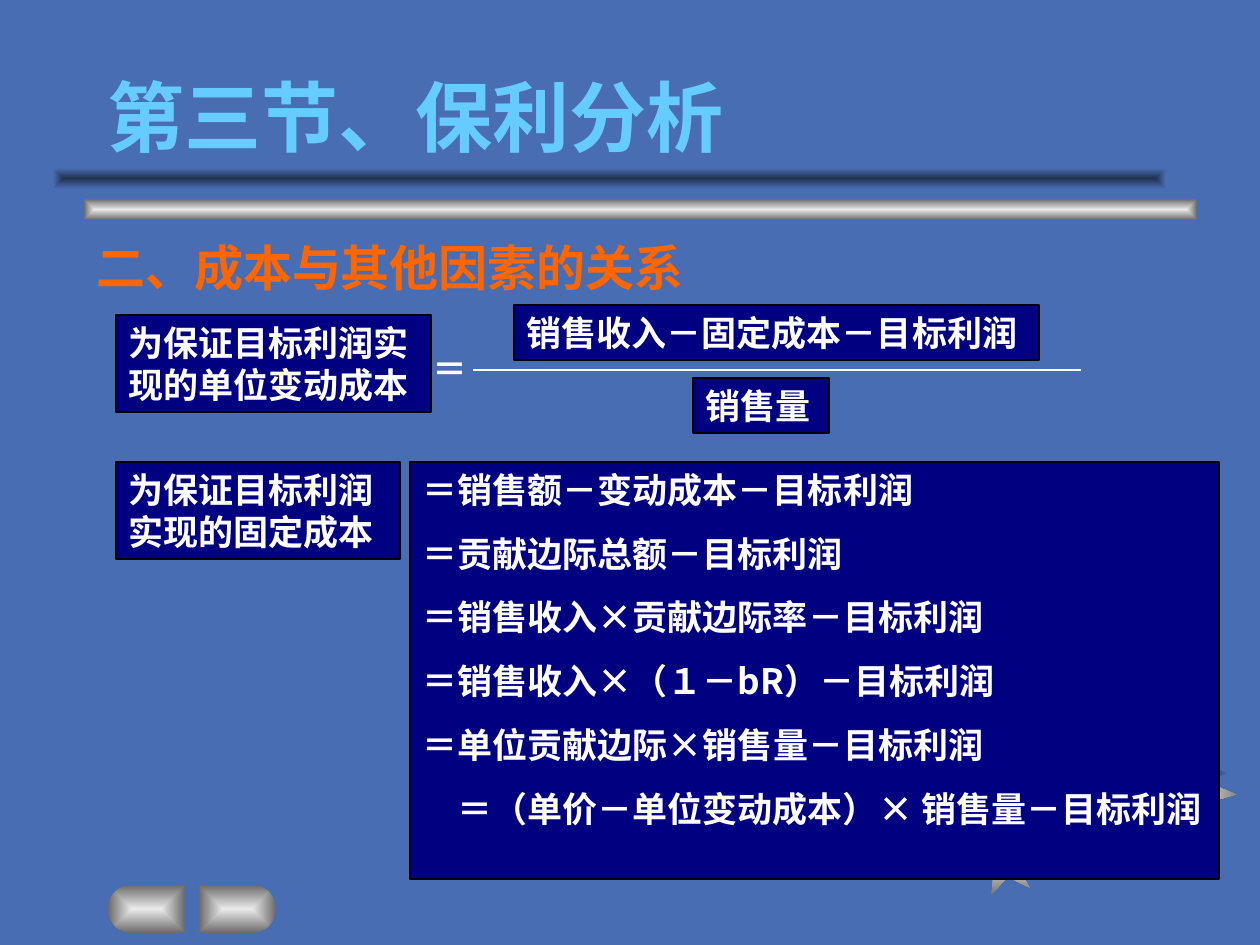
import math
from dataclasses import dataclass

from lxml import etree
from pptx import Presentation, util as u
from pptx.dml import color
from pptx.enum import shapes, text
from pptx.oxml import ns

EMU_PER_PX = 914400 / 126
FONT = "Noto Sans CJK SC"
COLORS = {
    "background": "496DB2",
    "shade": "213252",
    "silver": "EAEAEA",
    "steel": "6B6B6B",
    "title": "66CCFF",
    "heading": "FF6600",
    "navy": "000080",
    "black": "000000",
    "white": "FFFFFF",
}
SHADOW = ("shade", "background")
METAL = ("silver", "steel")


@dataclass(frozen=True)
class Box:
    left: int
    top: int
    width: int
    height: int

    def emu(self) -> tuple:
        return tuple(px(v) for v in (self.left, self.top, self.width, self.height))


@dataclass(frozen=True)
class Ornament:
    kind: shapes.MSO_SHAPE
    box: Box
    gradient: tuple
    rotation: int = 0


@dataclass(frozen=True)
class Label:
    lines: tuple
    box: Box
    size: int = 20
    color: str = "white"
    filled: bool = True
    anchor: text.MSO_ANCHOR = text.MSO_ANCHOR.TOP
    last_indent: int = 0


STAR, BAR = shapes.MSO_SHAPE.STAR_5_POINT, shapes.MSO_SHAPE.RECTANGLE
ORNAMENTS = (
    Ornament(STAR, Box(955, 815, 63, 63), SHADOW, 349),
    Ornament(STAR, Box(1142, 725, 84, 84), SHADOW, 22),
    Ornament(STAR, Box(973, 829, 63, 63), METAL, 349),
    Ornament(STAR, Box(1152, 746, 84, 84), METAL, 22),
    Ornament(BAR, Box(84, 199, 1113, 21), METAL),
    Ornament(BAR, Box(53, 168, 1113, 21), SHADOW),
)
FORMULAS = (
    "＝销售额－变动成本－目标利润",
    "＝贡献边际总额－目标利润",
    "＝销售收入×贡献边际率－目标利润",
    "＝销售收入×（１－bR）－目标利润",
    "＝单位贡献边际×销售量－目标利润",
    "＝（单价－单位变动成本）× 销售量－目标利润",
)
LABELS = (
    Label(("第三节、保利分析",), Box(95, 73, 809, 95), 44, "title", False, text.MSO_ANCHOR.BOTTOM),
    Label(("二、成本与其他因素的关系",), Box(84, 231, 756, 72), 28, "heading", False),
    Label(("为保证目标利润实现的单位变动成本",), Box(116, 315, 315, 97)),
    Label(("＝",), Box(420, 341, 63, 55), filled=False),
    Label(("销售收入－固定成本－目标利润",), Box(514, 305, 525, 55)),
    Label(("销售量",), Box(693, 378, 136, 55)),
    Label(FORMULAS, Box(410, 462, 809, 417), last_indent=35),
    Label(("为保证目标利润实现的固定成本",), Box(116, 462, 284, 97)),
)


def px(value: float) -> u.Emu:
    return u.Emu(round(value * EMU_PER_PX))


def rgb(name: str) -> color.RGBColor:
    return color.RGBColor.from_string(COLORS[name])


def apply_gradient(shape, gradient: tuple) -> None:
    """Fill from the centre outwards in a rectangular gradient."""
    shape.shadow.inherit = False
    shape.line.fill.background()
    shape.fill.gradient()
    for stop, name in zip(shape.fill.gradient_stops, gradient):
        stop.color.rgb = rgb(name)
    linear = shape.element.spPr.find(".//" + ns.qn("a:lin"))
    radial = etree.Element(ns.qn("a:path"), {"path": "rect"})
    etree.SubElement(radial, ns.qn("a:fillToRect"), dict.fromkeys("ltrb", "50000"))
    linear.getparent().replace(linear, radial)


def add_ornament(slide, ornament: Ornament) -> None:
    shape = slide.shapes.add_shape(ornament.kind, *ornament.box.emu())
    shape.rotation = ornament.rotation
    apply_gradient(shape, ornament.gradient)


def add_button(slide, box: Box, direction: int) -> None:
    """Draw a button rounded on the left (-1) or on the right (1)."""
    radius = box.height / 2
    right = box.left + box.width
    flat, tip = (box.left, right) if direction > 0 else (right, box.left)
    angles = [math.radians(a) for a in range(-90, 91, 10)]
    arc = [
        (px(tip + direction * radius * (math.cos(a) - 1)),
         px(box.top + radius * (1 + math.sin(a))))
        for a in angles
    ]
    builder = slide.shapes.build_freeform(px(flat), px(box.top), scale=1.0)
    builder.add_line_segments(arc + [(px(flat), px(box.top + box.height))], close=True)
    apply_gradient(builder.convert_to_shape(), METAL)


def add_label(slide, label: Label) -> None:
    if label.filled:
        shape = slide.shapes.add_shape(BAR, *label.box.emu())
        shape.shadow.inherit = False
        shape.fill.solid()
        shape.fill.fore_color.rgb = rgb("navy")
        shape.line.color.rgb = rgb("black")
        shape.line.width = u.Pt(1)
    else:
        shape = slide.shapes.add_textbox(*label.box.emu())
    frame = shape.text_frame
    frame.word_wrap = True
    frame.vertical_anchor = label.anchor
    frame.text = "\n".join(label.lines)
    for index, paragraph in enumerate(frame.paragraphs):
        paragraph.alignment = text.PP_ALIGN.LEFT
        if index:
            paragraph.space_before = u.Pt(12.5)
        for run in paragraph.runs:
            run.font.name = FONT
            run.font.size = u.Pt(label.size)
            run.font.bold = True
            run.font.color.rgb = rgb(label.color)
            latin = run.font._element.find(ns.qn("a:latin"))
            latin.addnext(etree.Element(ns.qn("a:ea"), {"typeface": FONT}))
    if label.last_indent:
        properties = frame.paragraphs[-1]._p.get_or_add_pPr()
        properties.set("marL", "0")
        properties.set("indent", str(px(label.last_indent)))


def add_fraction_bar(slide, left: int, right: int, y: int) -> None:
    line = slide.shapes.add_connector(
        shapes.MSO_CONNECTOR.STRAIGHT, px(left), px(y), px(right), px(y))
    line.line.color.rgb = rgb("white")
    line.line.width = u.Pt(1)
    etree.SubElement(line.element.spPr, ns.qn("a:effectLst"))


def main() -> None:
    presentation = Presentation()
    presentation.slide_width, presentation.slide_height = px(1260), px(945)
    slide = presentation.slides.add_slide(presentation.slide_layouts[6])
    slide.background.fill.solid()
    slide.background.fill.fore_color.rgb = rgb("background")
    for ornament in ORNAMENTS:
        add_ornament(slide, ornament)
    add_button(slide, Box(108, 885, 77, 48), -1)
    add_button(slide, Box(199, 885, 77, 48), 1)
    add_fraction_bar(slide, 473, 1081, 370)
    for label in LABELS:
        add_label(slide, label)
    presentation.save("out.pptx")


if __name__ == "__main__":
    main()
